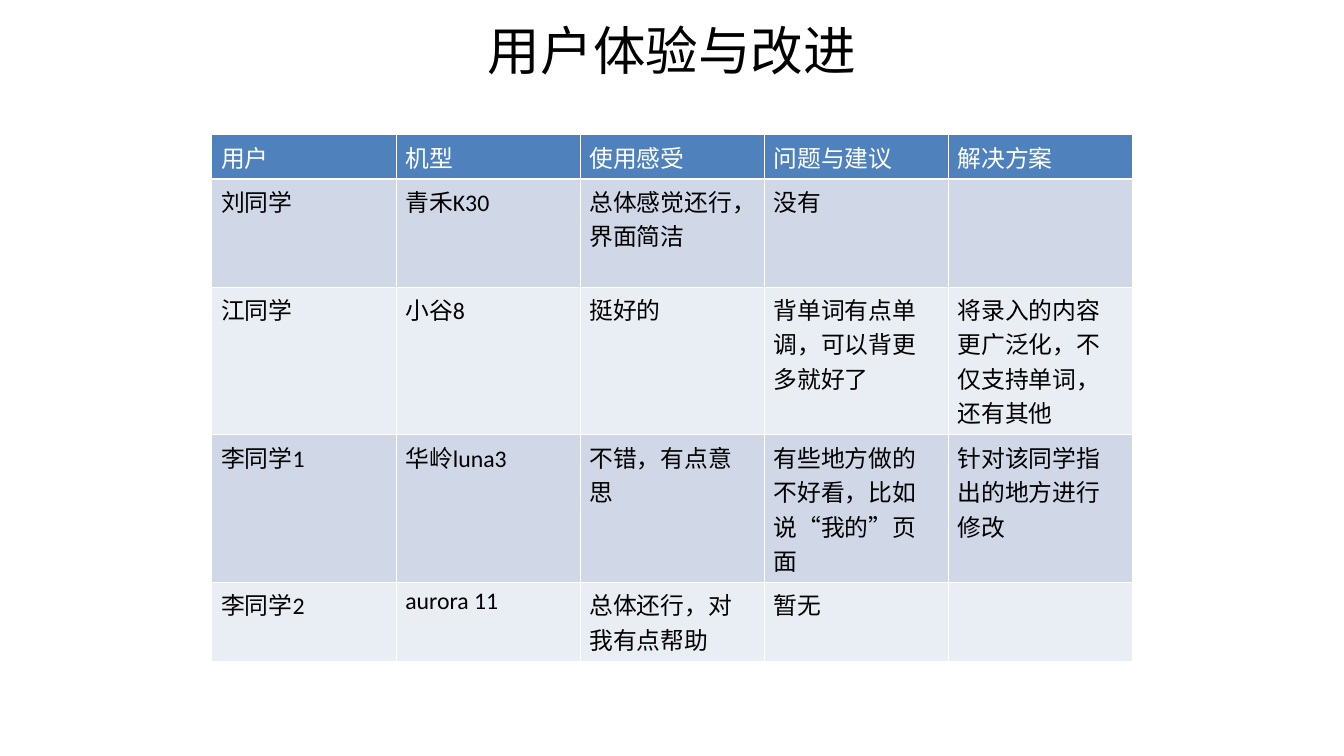
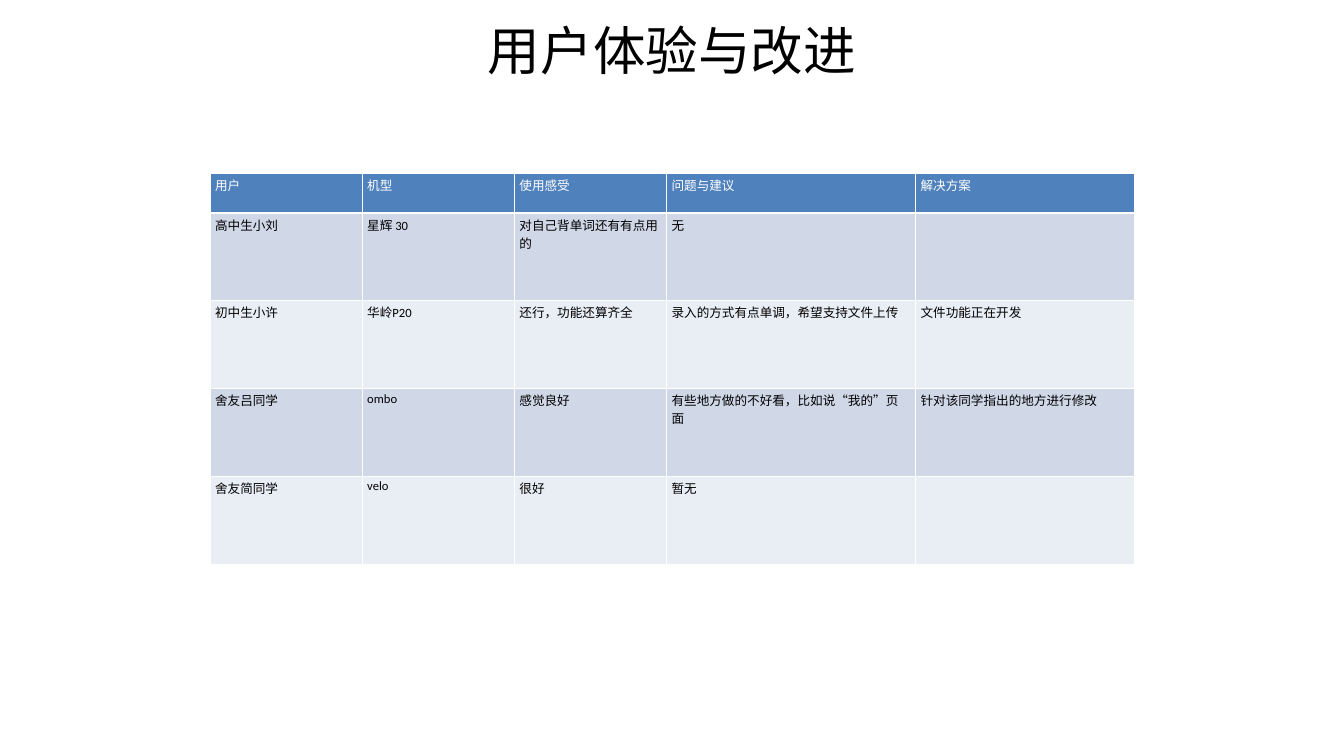
from dataclasses import dataclass

from lxml.etree import SubElement
from pptx import Presentation
from pptx.dml.color import RGBColor
from pptx.enum.text import MSO_ANCHOR, MSO_AUTO_SIZE, PP_ALIGN
from pptx.oxml.ns import qn
from pptx.util import Cm, Pt


@dataclass(frozen=True)
class Theme:
    header: str = "4F81BD"
    bands: tuple = ("D0D8E8", "E9EDF4")
    ink: str = "000000"
    white: str = "FFFFFF"
    title_font: str = "Noto Sans"
    body_font: str = "Calibri"
    title_size: float = 75.1
    title_leading: float = 90.1
    large: float = 34
    small: float = 18
    thin: float = 1
    thick: float = 3


THEME = Theme()
SLIDE_W, SLIDE_H = 67.74, 38.1
TITLE = "用户体验与改进"
TITLE_BOX = (24.55, 0.91, 18.64, 3.18)
HEADERS = ["用户", "机型", "使用感受", "问题与建议", "解决方案"]

CLASSMATES = [
    ["刘同学", "青禾K30", "总体感觉还行，界面简洁", "没有", ""],
    ["江同学", "小谷8", "挺好的", "背单词有点单调，可以背更多就好了",
     "将录入的内容更广泛化，不仅支持单词，还有其他"],
    ["李同学1", "华岭luna3", "不错，有点意思",
     "有些地方做的不好看，比如说“我的”页面", "针对该同学指出的地方进行修改"],
    ["李同学2", "aurora 11", "总体还行，对我有点帮助", "暂无", ""],
]
OTHERS = [
    ["高中生小刘", "星辉 30", "对自己背单词还有有点用的", "无", ""],
    ["初中生小许", "华岭P20", "还行，功能还算齐全",
     "录入的方式有点单调，希望支持文件上传", "文件功能正在开发"],
    ["舍友吕同学", "ombo", "感觉良好",
     "有些地方做的不好看，比如说“我的”页面", "针对该同学指出的地方进行修改"],
    ["舍友简同学", "velo", "很好", "暂无", ""],
]


def set_font(p, name, size, color):
    p.font.name = name
    p.font.size = Pt(size)
    p.font.bold = False
    p.font.color.rgb = RGBColor.from_string(color)


def add_title(s, box):
    sp = s.shapes.title
    sp.left, sp.top, sp.width, sp.height = (Cm(v) for v in box)
    tf = sp.text_frame
    tf.text = TITLE
    tf.word_wrap = True
    tf.auto_size = MSO_AUTO_SIZE.NONE
    tf.vertical_anchor = MSO_ANCHOR.TOP
    tf.margin_left = tf.margin_right = tf.margin_top = tf.margin_bottom = 0
    p = tf.paragraphs[0]
    p.alignment = PP_ALIGN.CENTER
    p.line_spacing = Pt(THEME.title_leading)
    set_font(p, THEME.title_font, THEME.title_size, THEME.ink)


def set_borders(cell, widths):
    tc_pr = cell._tc.get_or_add_tcPr()
    for i, (side, width) in enumerate(zip(("lnL", "lnR", "lnT", "lnB"), widths)):
        ln = tc_pr.makeelement(qn(f"a:{side}"), {"w": str(Pt(width))})
        fill = SubElement(ln, qn("a:solidFill"))
        SubElement(fill, qn("a:srgbClr"), val=THEME.white)
        tc_pr.insert(i, ln)


def format_cell(cell, text, row, size, margins):
    is_header = row == 0
    cell.text = text
    cell.margin_left = cell.margin_right = Cm(margins[0])
    cell.margin_top = cell.margin_bottom = Cm(margins[1])
    cell.fill.solid()
    fill = THEME.header if is_header else THEME.bands[(row - 1) % 2]
    cell.fill.fore_color.rgb = RGBColor.from_string(fill)
    set_font(cell.text_frame.paragraphs[0], THEME.body_font, size,
             THEME.white if is_header else THEME.ink)
    top = THEME.thick if row == 1 else THEME.thin
    bottom = THEME.thick if is_header else THEME.thin
    set_borders(cell, (THEME.thin, THEME.thin, top, bottom))


def add_feedback_table(s, top, widths, heights, records, size, margins):
    rows = [HEADERS] + records
    left = (SLIDE_W - sum(widths)) / 2
    table = s.shapes.add_table(len(rows), len(HEADERS), Cm(left), Cm(top),
                               Cm(sum(widths)), Cm(sum(heights))).table
    for column, width in zip(table.columns, widths):
        column.width = Cm(width)
    for i, (row, height) in enumerate(zip(table.rows, heights)):
        row.height = Cm(height)
        for cell, text in zip(row.cells, rows[i]):
            format_cell(cell, text, i, size, margins)


def add_feedback_slide(prs, **table):
    s = prs.slides.add_slide(prs.slide_layouts[5])
    add_title(s, TITLE_BOX)
    add_feedback_table(s, **table)


def main():
    prs = Presentation()
    prs.slide_width, prs.slide_height = Cm(SLIDE_W), Cm(SLIDE_H)
    add_feedback_slide(prs, top=6.78, widths=[9.28] * 5,
                       heights=[2.2, 5.44, 7.41, 7.41, 3.96],
                       records=CLASSMATES, size=THEME.large, margins=(0.48, 0.25))
    add_feedback_slide(prs, top=8.71, widths=[7.67] * 3 + [12.55, 11],
                       heights=[2.03] + [4.42] * 4,
                       records=OTHERS, size=THEME.small, margins=(0.25, 0.13))
    prs.save("out.pptx")


if __name__ == "__main__":
    main()
